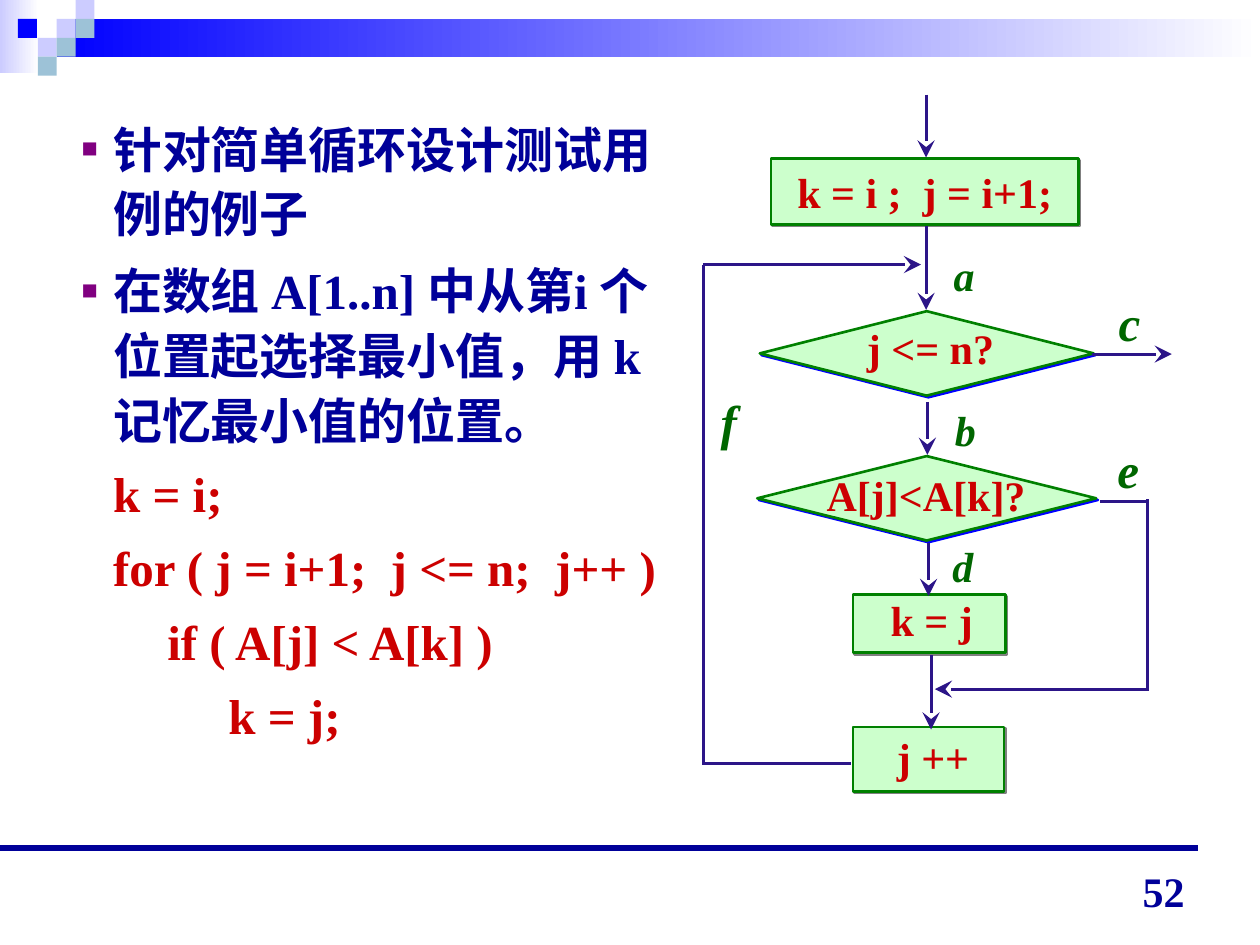
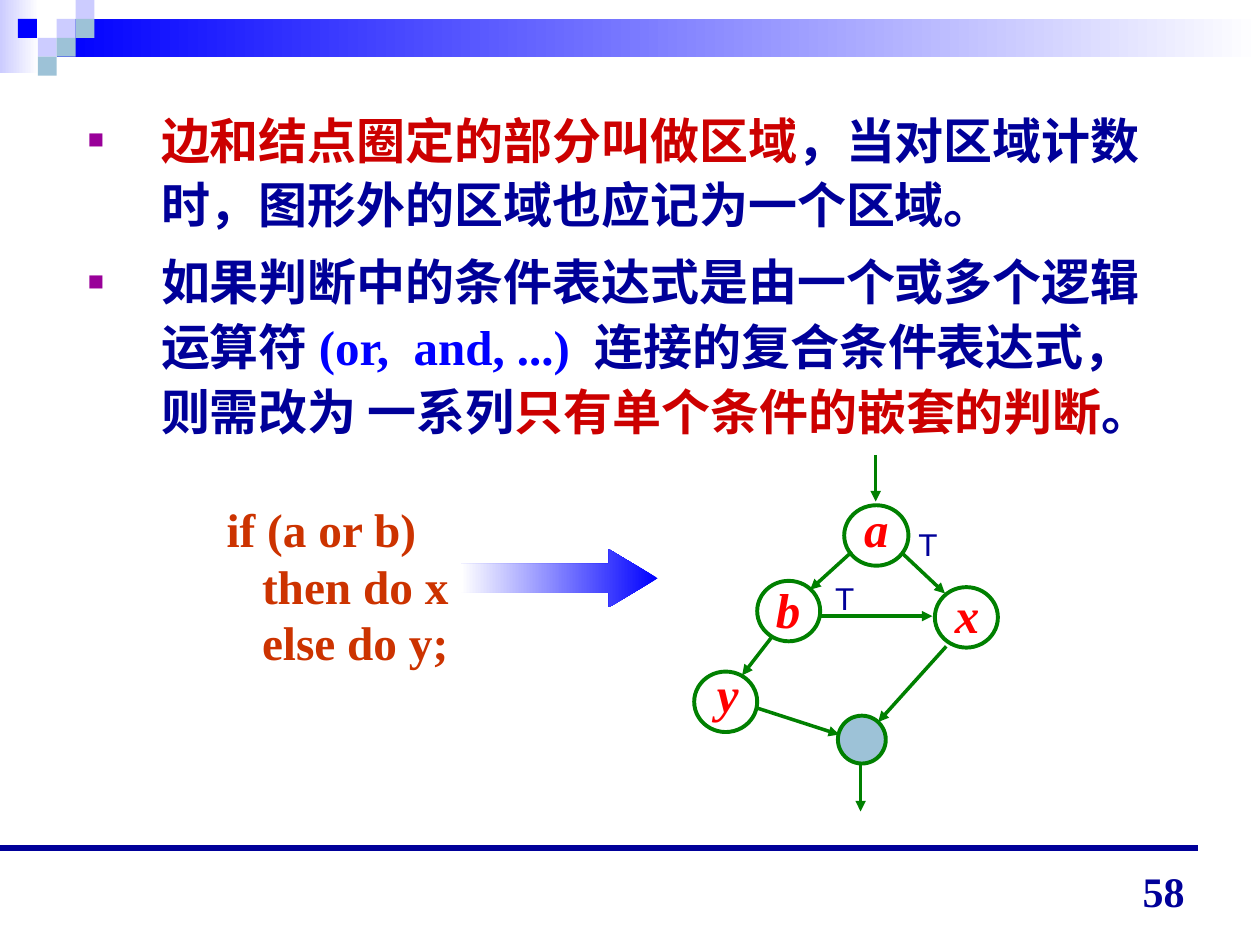
from lxml import etree
from pptx import Presentation, util as u
from pptx.dml.color import RGBColor
from pptx.enum import shapes, text
from pptx.oxml.ns import qn

Inches, Pt = u.Inches, u.Pt
PRESET = shapes.MSO_SHAPE
ALIGN = text.PP_ALIGN

COLORS = {
    "navy": "000099", "blue": "0000FF", "lavender": "CCCCFF", "steel": "9DC2D7",
    "white": "FFFFFF", "red": "CC0000", "bright red": "FF0000", "rust": "CC3300",
    "green": "008000", "dark green": "006600", "mint": "CCFFCC", "indigo": "2C1588",
    "gray": "808080", "purple": "800080", "violet": "990099",
}
SERIF = "Times New Roman"

# Text formats
FORMATS = {
    "body": dict(size=28, name=SERIF, bold=True, color="navy"),
    "code": dict(size=28, name=SERIF, bold=True, color="red"),
    "step": dict(size=24, name=SERIF, bold=True, color="red"),
    "edge": dict(size=24, name=SERIF, bold=True, italic=True, color="dark green"),
    "big edge": dict(size=28, name=SERIF, bold=True, italic=True, color="dark green"),
    "node": dict(size=28, name=SERIF, bold=True, italic=True, color="bright red"),
    "branch": dict(size=18, name="Arial", bold=False, color="navy"),
    "snippet": dict(size=27, name=SERIF, bold=True, color="rust"),
    "number": dict(size=24, name=SERIF, bold=True, color="navy"),
}

# Header: squares sit on a grid of equal cells
CELL = 0.15
HEADER_BANDS = [((0, 0, 0.31, 0.58), "lavender"), ((0.45, 0.15, 9.55, 0.3), "blue")]
HEADER_SQUARES = [(3, 1, "lavender"), (4, 0, "lavender"), (4, 1, "steel"),
                  (2, 2, "lavender"), (0.95, 1, "blue"), (3, 2, "steel"), (2, 3, "steel")]

# Slide 52: simple loop
LOOP_POINTS = [
    [("针对简单循环设计测试用例的例子", "navy")],
    [("在数组 A[1..n] 中从第i 个位置起选择最小值，用 k 记忆最小值的位置。", "navy")],
]
LOOP_CODE = [  # text, first-line indent
    ("k = i;", 0),
    ("for ( j = i+1;  j <= n;  j++ )", 0),
    ("       if ( A[j] < A[k] )", -0.25),
    ("            k = j;", -0.25),
]
FLOW_STEPS = [  # preset, place, shadow
    (PRESET.RECTANGLE, (6.12, 1.26, 2.44, 0.52), "gray"),
    (PRESET.RECTANGLE, (6.77, 4.72, 1.21, 0.46), "gray"),
    (PRESET.RECTANGLE, (6.77, 5.77, 1.2, 0.51), "gray"),
    (PRESET.DIAMOND, (6.03, 2.47, 2.65, 0.67), "blue"),
    (PRESET.DIAMOND, (6.01, 3.62, 2.69, 0.67), "blue"),
]
FLOW_ARROWS = [
    (7.35, 0.75, 7.35, 1.25), (7.35, 1.79, 7.35, 2.46), (7.36, 3.19, 7.36, 3.61),
    (7.37, 4.31, 7.37, 4.73), (7.39, 5.2, 7.39, 5.79), (9.12, 5.47, 7.42, 5.47),
    (8.67, 2.81, 9.3, 2.81), (5.58, 2.1, 7.31, 2.1),
]
FLOW_LINES = [
    (9.11, 5.48, 9.11, 3.96), (8.73, 3.98, 9.12, 3.98),
    (6.75, 6.06, 5.57, 6.06), (5.58, 6.06, 5.58, 2.1),
]
FLOW_LABELS = [
    ("k = i ;  j = i+1;", "step", (6.12, 1.27, 2.44, 0.5)),
    ("j <= n?", "step", (6.78, 2.51, 1.21, 0.5)),
    ("A[j]<A[k]?", "step", (6.46, 3.68, 1.78, 0.5)),
    ("k = j", "step", (6.97, 4.67, 0.85, 0.5)),
    ("j ++", "step", (6.95, 5.76, 0.91, 0.5)),
    ("a", "edge", (7.47, 1.93, 0.36, 0.5)),
    ("b", "edge", (7.48, 3.16, 0.36, 0.5)),
    ("d", "edge", (7.46, 4.24, 0.36, 0.5)),
    ("c", "big edge", (8.78, 2.27, 0.37, 0.57)),
    ("e", "big edge", (8.77, 3.44, 0.37, 0.57)),
    ("f", "big edge", (5.62, 3.06, 0.33, 0.57)),
]

# Slide 58: regions and compound conditions
REGION_POINTS = [
    [("边和结点圈定的部分叫做区域", "red"),
     ("，当对区域计数时，图形外的区域也应记为一个区域。", "navy")],
    [("如果判断中的条件表达式是由一个或多个逻辑运算符 ", "navy"),
     ("(or,  and, ...)  ", "blue"),
     ("连接的复合条件表达式，则需改为 一系列", "navy"),
     ("只有单个条件的嵌套的判断", "red"), ("。", "navy")],
]
CONDITION_CODE = ["if (a or b)", "   then do x", "   else do y;"]
GRAPH_NODES = [  # place, fill
    ((6.7, 4.01, 0.51, 0.48), "white"), ((6.01, 4.61, 0.5, 0.48), "white"),
    ((7.42, 4.66, 0.5, 0.48), "white"), ((5.51, 5.33, 0.5, 0.48), "white"),
    ((6.65, 5.68, 0.38, 0.38), "steel"),
]
GRAPH_ARROWS = [
    (7.16, 4.39, 7.5, 4.71), (6.76, 4.38, 6.43, 4.68), (6.13, 5.05, 5.89, 5.36),
    (6.51, 4.89, 7.4, 4.89), (6.01, 5.62, 6.66, 5.83), (6.95, 3.61, 6.95, 3.98),
    (6.83, 6.07, 6.83, 6.44), (7.51, 5.13, 6.97, 5.73),
]
GRAPH_LABELS = [
    ("a", "node", (6.76, 3.91, 0.5, 0.57)), ("b", "node", (6.06, 4.55, 0.52, 0.61)),
    ("y", "node", (5.59, 5.22, 0.49, 0.65)), ("x", "node", (7.48, 4.59, 0.49, 0.61)),
    ("T", "branch", (7.19, 4.12, 0.35, 0.4)), ("T", "branch", (6.53, 4.55, 0.35, 0.4)),
]


# Helpers
def rgb(color):
    return RGBColor.from_string(COLORS[color])


def child(parent, tag, **attributes):
    return etree.SubElement(parent, qn(tag), {k: str(v) for k, v in attributes.items()})


def add_run(paragraph, words, style, color=None):
    run = paragraph.add_run()
    run.text = words
    for key, value in FORMATS[style].items():
        if key == "color":
            run.font.color.rgb = rgb(color or value)
        else:
            setattr(run.font, key, Pt(value) if key == "size" else value)


def add_box(slide, place, wrap=True, anchor=text.MSO_ANCHOR.TOP):
    frame = slide.shapes.add_textbox(*map(Inches, place)).text_frame
    frame.word_wrap = wrap
    frame.vertical_anchor = anchor
    return frame


def next_paragraph(frame):
    first = frame.paragraphs[0]
    return frame.add_paragraph() if first.runs else first


def add_label(slide, words, style, place, align, **box):
    paragraph = add_box(slide, place, **box).paragraphs[0]
    paragraph.alignment = align
    add_run(paragraph, words, style)


def add_figure(slide, preset, place, fill, line=None, width=1.5):
    figure = slide.shapes.add_shape(preset, *map(Inches, place))
    figure.shadow.inherit = False
    if isinstance(fill, tuple):
        figure.fill.gradient()
        figure.fill.gradient_angle = 180
        for stop, color in zip(figure.fill.gradient_stops, fill):
            stop.color.rgb = rgb(color)
    else:
        figure.fill.solid()
        figure.fill.fore_color.rgb = rgb(fill)
    if line:
        figure.line.color.rgb = rgb(line)
        figure.line.width = Pt(width)
    else:
        figure.line.fill.background()
    return figure


def add_line(slide, ends, color, width, head=None, head_size="med"):
    line = slide.shapes.add_connector(shapes.MSO_CONNECTOR.STRAIGHT, *map(Inches, ends))
    line.line.color.rgb = rgb(color)
    line.line.width = Pt(width)
    if head:
        child(line.line._get_or_add_ln(), "a:tailEnd", type=head, w=head_size, len=head_size)
    child(line._element.spPr, "a:effectLst")


def add_hard_shadow(figure, color):
    effects = figure._element.spPr.find(qn("a:effectLst"))
    shadow = child(effects, "a:outerShdw", blurRad=0, dist=Pt(1.4), dir=45 * 60000,
                   algn="ctr", rotWithShape=0)
    child(shadow, "a:srgbClr", val=COLORS[color])


def set_layout(paragraph, margin, indent, before, is_first):
    properties = paragraph._p.get_or_add_pPr()
    properties.set("marL", str(Inches(margin)))
    properties.set("indent", str(Inches(indent)))
    paragraph.line_spacing = 1.1
    paragraph.space_before = Pt(0 if is_first else before)


def add_points(frame, points, margin, bullet_color):
    for index, pieces in enumerate(points):
        paragraph = next_paragraph(frame)
        properties = paragraph._p.get_or_add_pPr()
        child(child(properties, "a:buClr"), "a:srgbClr", val=COLORS[bullet_color])
        child(properties, "a:buSzPct", val=55000)
        child(properties, "a:buFont", typeface="Arial")
        child(properties, "a:buChar", char="■")
        set_layout(paragraph, margin, -margin, 7, index == 0)
        for words, color in pieces:
            add_run(paragraph, words, "body", color)


def add_base(deck, number):
    slide = deck.slides.add_slide(deck.slide_layouts[6])
    for place, color in HEADER_BANDS:
        add_figure(slide, PRESET.RECTANGLE, place, ("white", color))
    for column, row, color in HEADER_SQUARES:
        add_figure(slide, PRESET.RECTANGLE, (column * CELL, row * CELL, CELL, CELL), color)
    add_line(slide, (0, 6.73, 9.51, 6.73), "navy", 3.25)
    add_label(slide, number, "number", (7.17, 6.82, 2.33, 0.5), ALIGN.RIGHT,
              anchor=text.MSO_ANCHOR.BOTTOM)
    return slide


# Slides
def build_loop(deck):
    slide = add_base(deck, "52")
    body = add_box(slide, (0.55, 0.85, 4.8, 5.96))
    add_points(body, LOOP_POINTS, 0.25, "purple")
    for words, indent in LOOP_CODE:
        paragraph = next_paragraph(body)
        set_layout(paragraph, 0.25, indent, 5.2, False)
        add_run(paragraph, words, "code")
    for preset, place, shadow in FLOW_STEPS:
        add_hard_shadow(add_figure(slide, preset, place, "mint", "green"), shadow)
    for ends in FLOW_ARROWS:
        add_line(slide, ends, "indigo", 1.75, "stealth", "lg")
    for ends in FLOW_LINES:
        add_line(slide, ends, "indigo", 1.75)
    for words, style, place in FLOW_LABELS:
        add_label(slide, words, style, place, ALIGN.CENTER, wrap=False)


def build_regions(deck):
    slide = add_base(deck, "58")
    add_points(add_box(slide, (0.6, 0.78, 8.87, 6.17)), REGION_POINTS, 0.58, "violet")
    for place, fill in GRAPH_NODES:
        add_figure(slide, PRESET.OVAL, place, fill, "green", 2.25)
    for ends in GRAPH_ARROWS:
        add_line(slide, ends, "green", 2, "triangle")
    for words, style, place in GRAPH_LABELS:
        add_label(slide, words, style, place, ALIGN.LEFT)
    snippet = add_box(slide, (1.7, 3.92, 1.96, 1.45), wrap=False)
    for words in CONDITION_CODE:
        add_run(next_paragraph(snippet), words, "snippet")
    arrow = add_figure(slide, PRESET.RIGHT_ARROW, (3.66, 4.36, 1.56, 0.46), ("blue", "white"))
    arrow.adjustments[0], arrow.adjustments[1] = 0.5, 0.84


def main():
    deck = Presentation()
    deck.slide_width, deck.slide_height = Inches(10), Inches(7.5)
    build_loop(deck)
    build_regions(deck)
    deck.save("out.pptx")


if __name__ == "__main__":
    main()
